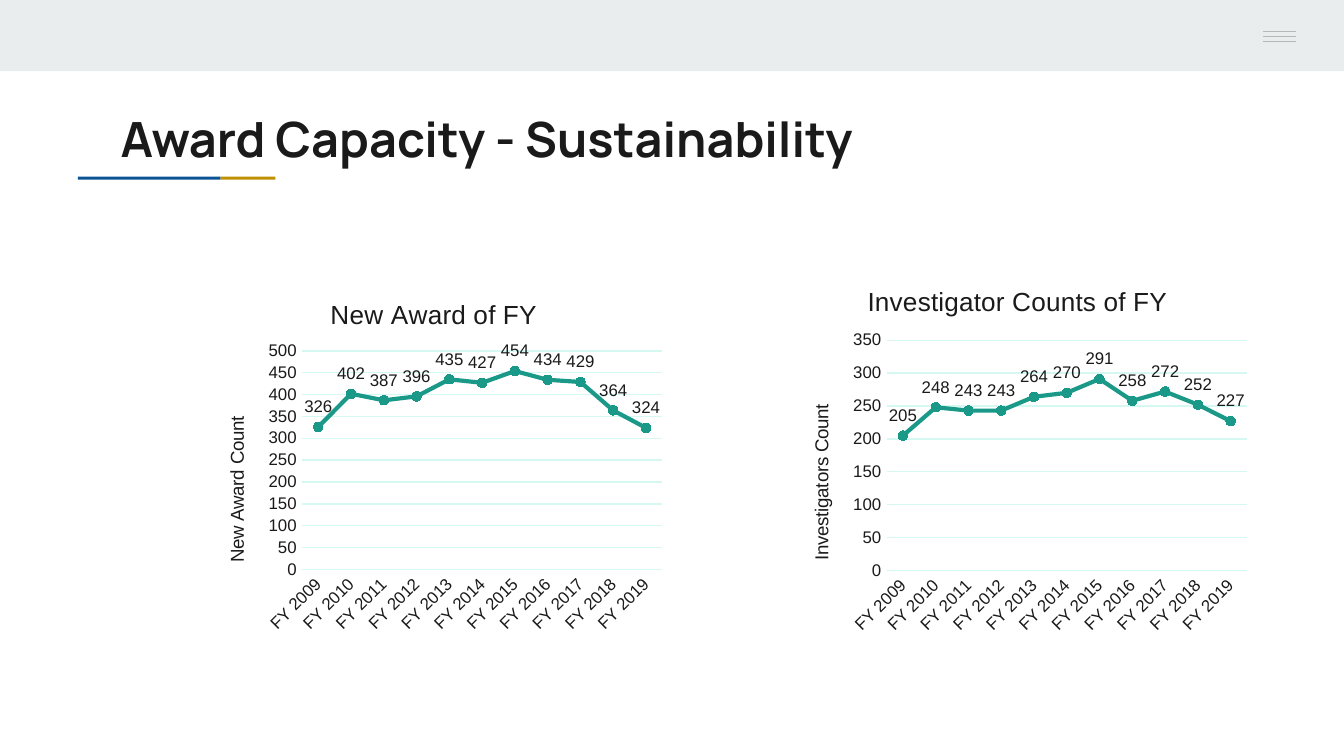
import lxml.etree
import pptx
import pptx.chart.data
import pptx.dml.color
import pptx.enum.chart
import pptx.enum.shapes
import pptx.enum.text
import pptx.oxml
import pptx.oxml.ns
import pptx.util

COLORS = {"ink": "1A1A1A", "band": "E9EDEE", "menu": "B7B7B7", "gold": "BF9000",
          "blue": "0B5394", "grid": "D5F8F3", "teal": "1A9988"}
COLORS = {name: pptx.dml.color.RGBColor.from_string(code) for name, code in COLORS.items()}

deck = pptx.Presentation()
deck.slide_width = pptx.util.Inches(10)
deck.slide_height = deck.slide_width * 9 // 16
page = deck.slides.add_slide(deck.slide_layouts[6])
cell = deck.slide_width // 100  # square grid, 100 columns across


def style_font(font, size, **extra):
    """Apply the slide's ink colour, a size and any other font values."""
    for key, value in {"name": "Arial", "size": pptx.util.Pt(size), "bold": False, **extra}.items():
        setattr(font, key, value)
    font.color.rgb = COLORS["ink"]


def place(element, position, **shares):
    """Give a chart part a fixed layout in shares of the chart's size."""
    qn = pptx.oxml.ns.qn
    for old in element.findall(qn("c:layout")):
        element.remove(old)
    layout = pptx.oxml.parse_xml(
        f'<c:layout {pptx.oxml.ns.nsdecls("c")}><c:manualLayout/></c:layout>')
    settings = {"xMode": "edge", "yMode": "edge", **shares}
    if "w" in shares:
        settings = {"layoutTarget": "inner", **settings}
    for tag, value in settings.items():
        lxml.etree.SubElement(layout[0], qn(f"c:{tag}")).set("val", str(value))
    element.insert(position, layout)


# Header band, menu corner and two-colour rule, in grid cells
for left, top, width, height, color in [
    (0, 0, 100, 5.3, "band"),
    (90.6, 0, 9.4, 5, "band"),
    (16.4, 13.15, 4.1, 0.22, "gold"),
    (5.8, 13.15, 10.6, 0.22, "blue"),
]:
    bar = page.shapes.add_shape(
        pptx.enum.shapes.MSO_SHAPE.RECTANGLE,
        *(round(cell * length) for length in (left, top, width, height)))
    bar.shadow.inherit = False
    bar.fill.solid()
    bar.fill.fore_color.rgb = COLORS[color]
    bar.line.fill.background()

for row in (2.35, 2.7, 3.1):
    stroke = page.shapes.add_connector(
        pptx.enum.shapes.MSO_CONNECTOR.STRAIGHT,
        *(round(cell * length) for length in (94, row, 96.4, row)))
    stroke.line.color.rgb = COLORS["menu"]
    stroke.line.width = pptx.util.Pt(0.75)
    lxml.etree.SubElement(stroke._element.spPr, pptx.oxml.ns.qn("a:effectLst"))

# Title
box = page.shapes.add_textbox(*(round(cell * length) for length in (8, 7.1, 84.1, 5.9)))
frame = box.text_frame
for key, value in {"word_wrap": True, "margin_left": cell, "margin_right": cell,
                   "margin_top": cell, "margin_bottom": cell,
                   "vertical_anchor": pptx.enum.text.MSO_ANCHOR.TOP}.items():
    setattr(frame, key, value)
span = frame.paragraphs[0].add_run()
span.text = "Award Capacity - Sustainability"
style_font(span.font, 26, name="Manrope", bold=True)

# Line charts
years = [f"FY {year}" for year in range(2009, 2020)]
for left, top, height, heading, axis_name, peak, heading_at, axis_at, counts in [
    (58.2, 19.7, 28.1, "Investigator Counts of FY", "Investigators Count", 350,
     (0.17, 0.04), (0.05, 0.36),
     (205, 248, 243, 243, 264, 270, 291, 258, 272, 252, 227)),
    (14.7, 20.7, 27.1, "New Award of FY", "New Award Count", 500,
     (0.27, 0.04), (0.05, 0.37),
     (326, 402, 387, 396, 435, 427, 454, 434, 429, 364, 324)),
]:
    data = pptx.chart.data.CategoryChartData()
    data.categories = years
    data.add_series("Series 1", counts)
    chart = page.shapes.add_chart(
        pptx.enum.chart.XL_CHART_TYPE.LINE_MARKERS,
        *(round(cell * length) for length in (left, top, 35.3, height)), data).chart
    chart.has_legend = False
    style_font(chart.font, 10)
    chart.has_title = True
    value_axis, year_axis = chart.value_axis, chart.category_axis
    for title, words, size, spot in [(chart.chart_title, heading, 14, heading_at),
                                     (value_axis.axis_title, axis_name, 10, axis_at)]:
        span = title.text_frame.paragraphs[0].add_run()
        span.text = words
        style_font(span.font, size)
        place(title._element, 1, x=spot[0], y=spot[1])
    turn = value_axis.axis_title.text_frame._txBody.bodyPr
    turn.set("rot", "-5400000")
    turn.set("vert", "horz")
    place(chart._chartSpace.chart.plotArea, 0, x=0.22, y=round(5.5 / height, 2),
          w=0.76, h=round(1 - 10.9 / height, 2))

    for axis in (value_axis, year_axis):
        axis.major_tick_mark = axis.minor_tick_mark = pptx.enum.chart.XL_TICK_MARK.NONE
        style_font(axis.tick_labels.font, 9)
    for key, value in {"minimum_scale": 0, "maximum_scale": peak, "major_unit": 50,
                       "has_major_gridlines": True}.items():
        setattr(value_axis, key, value)
    value_axis.format.line.fill.background()
    for line in (value_axis.major_gridlines.format.line, year_axis.format.line):
        line.color.rgb = COLORS["grid"]
        line.width = pptx.util.Pt(0.75)
    year_axis._element.txPr.bodyPr.set("rot", "-2700000")

    plot = chart.plots[0]
    plot.vary_by_categories = False
    series = plot.series[0]
    series.smooth = False
    series.format.line.color.rgb = COLORS["teal"]
    series.format.line.width = pptx.util.Pt(2.25)
    marker = series.marker
    marker.style = pptx.enum.chart.XL_MARKER_STYLE.CIRCLE
    marker.size = 5
    marker.format.fill.solid()
    marker.format.fill.fore_color.rgb = COLORS["teal"]
    marker.format.line.color.rgb = COLORS["teal"]
    labels = series.data_labels
    labels.show_value = True
    labels.position = pptx.enum.chart.XL_LABEL_POSITION.ABOVE
    style_font(labels.font, 9)

deck.save("out.pptx")
